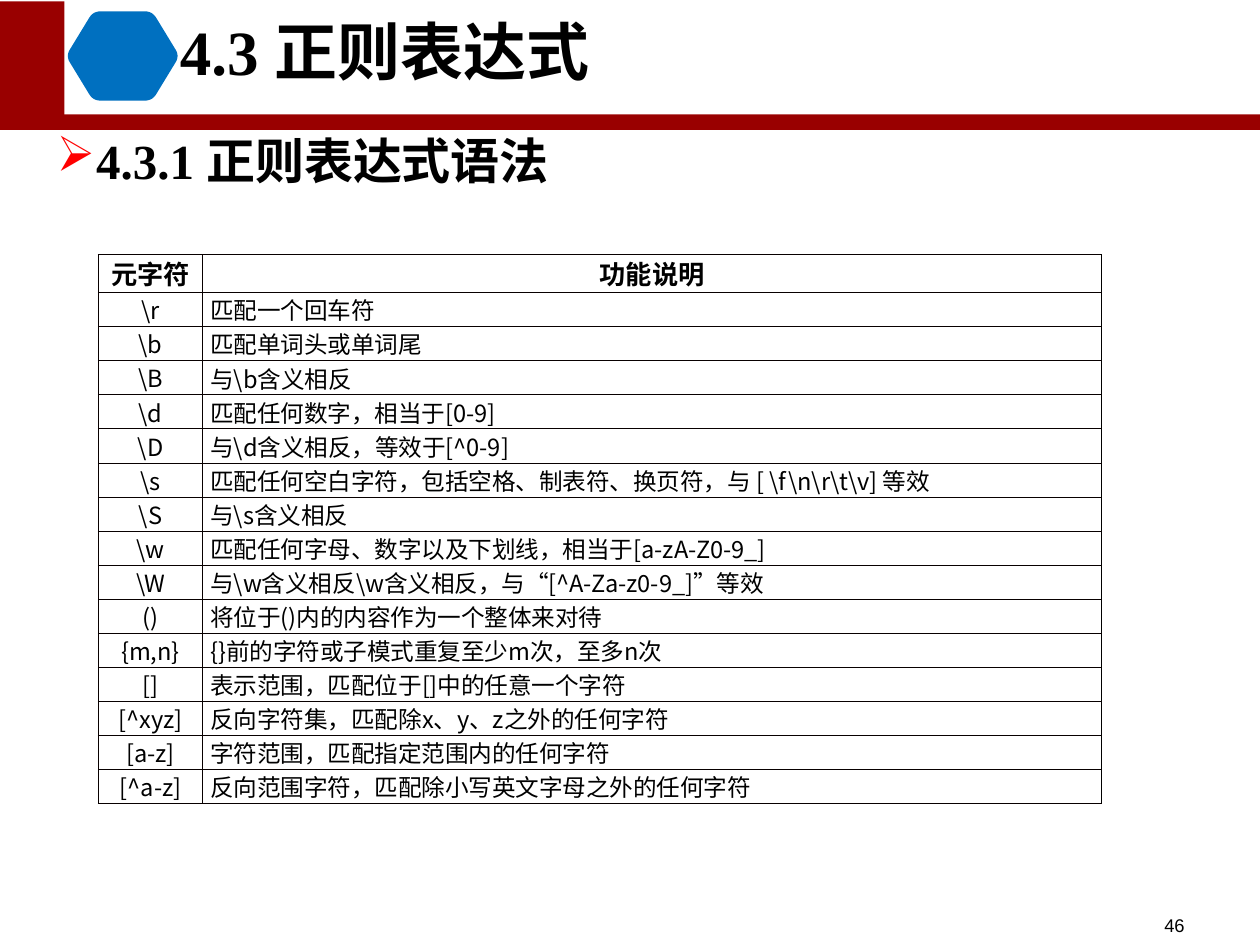
from lxml.etree import SubElement
from pptx import Presentation
from pptx.dml.color import RGBColor
from pptx.enum.shapes import MSO_SHAPE
from pptx.enum.text import MSO_ANCHOR, MSO_AUTO_SIZE, PP_ALIGN
from pptx.oxml.ns import qn
from pptx.util import Cm, Pt

BLACK = RGBColor(0x00, 0x00, 0x00)
WHITE = RGBColor(0xFF, 0xFF, 0xFF)
CRIMSON = RGBColor(0x99, 0x00, 0x00)
BLUE = RGBColor(0x00, 0x70, 0xC0)
RED = RGBColor(0xFF, 0x00, 0x00)
GRID = RGBColor(0x08, 0x00, 0x00)
SANS = "Noto Sans CJK SC"
SERIF = "Times New Roman"

METACHARACTERS = [
    ("元字符", "功能说明"),
    (r"\r", "匹配一个回车符"),
    (r"\b", "匹配单词头或单词尾"),
    (r"\B", r"与\b含义相反"),
    (r"\d", "匹配任何数字，相当于[0-9]"),
    (r"\D", r"与\d含义相反，等效于[^0-9]"),
    (r"\s", r"匹配任何空白字符，包括空格、制表符、换页符，与 [ \f\n\r\t\v] 等效"),
    (r"\S", r"与\s含义相反"),
    (r"\w", "匹配任何字母、数字以及下划线，相当于[a-zA-Z0-9_]"),
    (r"\W", r"与\w含义相反\w含义相反，与“[^A-Za-z0-9_]”等效"),
    ("()", "将位于()内的内容作为一个整体来对待"),
    ("{m,n}", "{}前的字符或子模式重复至少m次，至多n次"),
    ("[]", "表示范围，匹配位于[]中的任意一个字符"),
    ("[^xyz]", "反向字符集，匹配除x、y、z之外的任何字符"),
    ("[a-z]", "字符范围，匹配指定范围内的任何字符"),
    ("[^a-z]", "反向范围字符，匹配除小写英文字母之外的任何字符"),
]


def apply_format(target, values):
    for name, value in values.items():
        setattr(target, name, value)


def rounded_outline(corners, radius, steps=6):
    def toward(start, end):
        length = sum((b - a) ** 2 for a, b in zip(start, end)) ** 0.5
        return [a + (b - a) * radius / length for a, b in zip(start, end)]

    points = []
    for index, corner in enumerate(corners):
        entry = toward(corner, corners[index - 1])
        leave = toward(corner, corners[(index + 1) % len(corners)])
        for step in range(steps + 1):
            t = step / steps
            points.append(tuple(
                Cm((1 - t) ** 2 * a + 2 * t * (1 - t) * b + t ** 2 * c)
                for a, b, c in zip(entry, corner, leave)
            ))
    return points


class PageBuilder:
    def __init__(self, page):
        self.page = page
        self.ink = BLACK

    def paint(self, shape, color):
        shape.fill.solid()
        shape.fill.fore_color.rgb = color
        shape.line.fill.background()
        shape.shadow.inherit = False

    def bar(self, left, top, width, height, color):
        shape = self.page.shapes.add_shape(
            MSO_SHAPE.RECTANGLE, Cm(left), Cm(top), Cm(width), Cm(height))
        self.paint(shape, color)

    def rounded_polygon(self, corners, radius, color):
        start, *rest = rounded_outline(corners, radius)
        builder = self.page.shapes.build_freeform(*start, scale=1.0)
        builder.add_line_segments(rest, close=True)
        self.paint(builder.convert_to_shape(), color)

    def add_span(self, para, text, font, size, bold=False, align=PP_ALIGN.LEFT):
        para.alignment = align
        span = para.add_run()
        span.text = text
        apply_format(span.font, {"name": font, "size": Pt(size), "bold": bold})
        span.font.color.rgb = self.ink
        properties = span._r.get_or_add_rPr()
        SubElement(properties, qn("a:ea")).set("typeface", SANS)

    def text(self, left, top, width, height, text, **style):
        box = self.page.shapes.add_textbox(Cm(left), Cm(top), Cm(width), Cm(height))
        apply_format(box.text_frame, {
            "word_wrap": True,
            "auto_size": MSO_AUTO_SIZE.SHAPE_TO_FIT_TEXT,
        })
        para = box.text_frame.paragraphs[0]
        self.add_span(para, text, **style)
        return para

    def bullet(self, para, symbol, color, indent):
        properties = para._p.get_or_add_pPr()
        properties.set("marL", str(Cm(indent)))
        properties.set("indent", str(-Cm(indent)))
        tint = SubElement(properties, qn("a:buClr"))
        SubElement(tint, qn("a:srgbClr")).set("val", str(color))
        SubElement(properties, qn("a:buChar")).set("char", symbol)

    def border(self, cell, side, color, width):
        line = SubElement(cell._tc.get_or_add_tcPr(), qn(f"a:ln{side}"))
        line.set("w", str(Pt(width)))
        fill = SubElement(line, qn("a:solidFill"))
        SubElement(fill, qn("a:srgbClr")).set("val", str(color))

    def table(self, left, top, widths, heights, rows):
        frame = self.page.shapes.add_table(
            len(rows), len(widths), Cm(left), Cm(top),
            Cm(sum(widths)), Cm(sum(heights)))
        table = frame.table
        apply_format(table, {"first_row": False, "horz_banding": False})
        for column, width in zip(table.columns, widths):
            column.width = Cm(width)
        for row, height in zip(table.rows, heights):
            row.height = Cm(height)
        for row_index, texts in enumerate(rows):
            header = row_index == 0
            for column_index, text in enumerate(texts):
                cell = table.cell(row_index, column_index)
                described = column_index == 1 and not header
                apply_format(cell, {
                    "margin_left": Cm(0.15 if described else 0),
                    "margin_right": 0,
                    "margin_top": 0,
                    "margin_bottom": 0,
                    "vertical_anchor": MSO_ANCHOR.MIDDLE if described else MSO_ANCHOR.TOP,
                })
                for side in "LRTB":
                    outer = side == "R" and column_index == 1
                    self.border(cell, side, *((BLACK, 0.75) if outer else (GRID, 0.5)))
                cell.fill.background()
                self.add_span(
                    cell.text_frame.paragraphs[0], text, SANS,
                    15 if header else 13.5, header,
                    PP_ALIGN.LEFT if described else PP_ALIGN.CENTER)


def main():
    deck = Presentation()
    apply_format(deck, {"slide_width": Cm(25.4), "slide_height": Cm(19.05)})
    builder = PageBuilder(deck.slides.add_slide(deck.slide_layouts[6]))

    builder.bar(0, 0.03, 25.4, 2.59, CRIMSON)
    builder.bar(1.3, 0, 24.1, 2.31, WHITE)

    row_heights = [0.64] + [0.59] * (len(METACHARACTERS) - 1)
    builder.table(1.98, 5.13, [2.11, 18.11], row_heights, METACHARACTERS)

    builder.text(18.21, 18.31, 5.92, 0.64, "46",
                 font="Arial", size=10.5, align=PP_ALIGN.RIGHT)

    hexagon = [(1.88, 0.23), (3.07, 0.23), (3.62, 1.13),
               (3.07, 2.03), (1.88, 2.03), (1.33, 1.13)]
    builder.rounded_polygon(hexagon, 0.15, BLUE)
    builder.text(1.9, 0.13, 12, 1.8, "4.3 正则表达式 ",
                 font=SERIF, size=36, bold=True, align=PP_ALIGN.CENTER)

    heading = builder.text(0.89, 2.51, 15.7, 1.45, "4.3.1 正则表达式语法",
                           font=SERIF, size=28, bold=True)
    builder.bullet(heading, "➢", RED, 0.8)

    deck.save("out.pptx")


if __name__ == "__main__":
    main()
